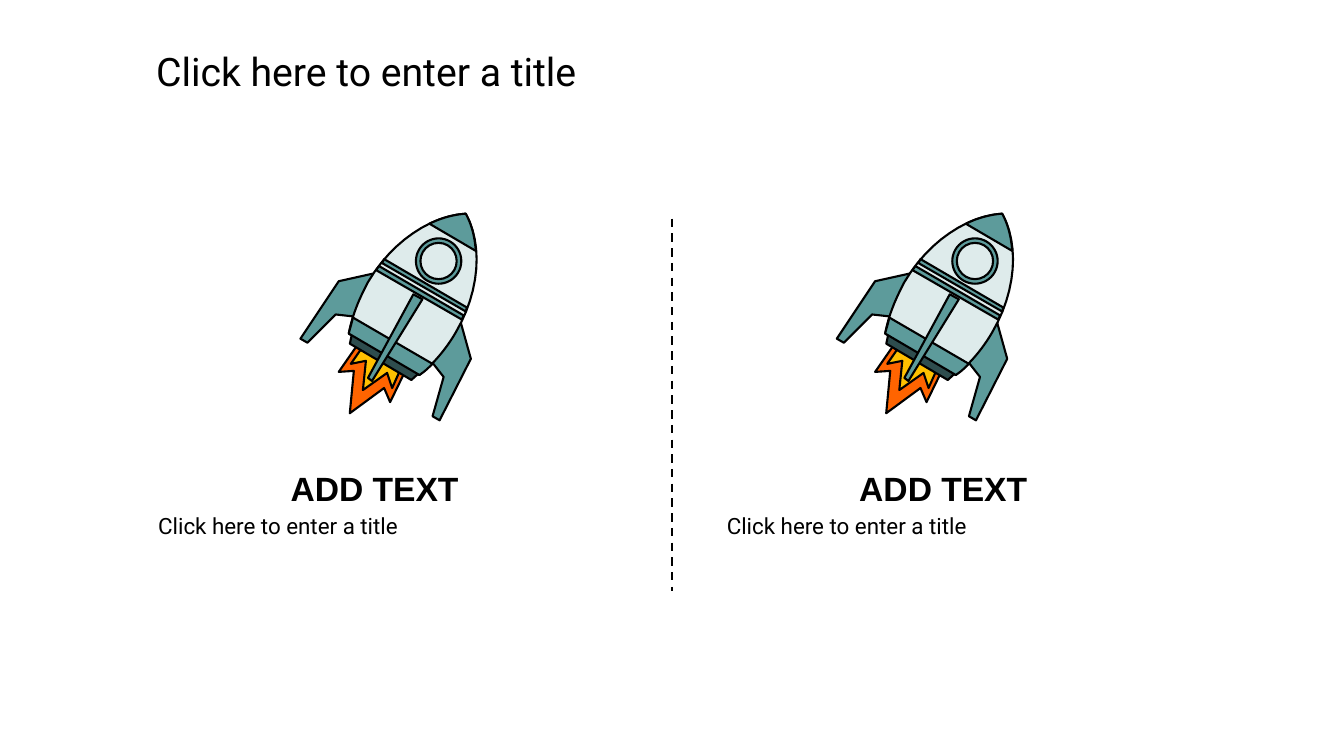
from pptx import Presentation
from pptx.dml.color import RGBColor
from pptx.enum.dml import MSO_LINE
from pptx.enum.shapes import MSO_CONNECTOR as Wire, MSO_SHAPE as Form
from pptx.enum.text import MSO_AUTO_SIZE as Fit, PP_ALIGN as Align
from pptx.oxml.ns import qn
from pptx.util import Inches, Pt
from lxml.etree import SubElement

WIDE, HIGH = 13.33, 7.5
INK, TEAL, PALE, DARK = "000000", "5D9B9B", "DEEBEB", "2E4D4E"
FIRE, GOLD = "FF6400", "FFC000"
PROMPT = "Click here to enter a title"
CARDS = [("ADD TEXT", PROMPT), ("ADD TEXT", PROMPT)]
ROCKET_STEP, CARD_STEP = 5.32, 5.64

FLAME = [(3.61, 3.33), (3.36, 3.69), (3.51, 3.68), (3.47, 4.1),
         (3.81, 3.85), (3.87, 3.99), (4.06, 3.6)]
SPARK = [(4.01, 3.57), (3.65, 3.36), (3.64, 3.38), (3.48, 3.61),
         (3.63, 3.58), (3.6, 3.87), (3.84, 3.7), (3.89, 3.85), (4.01, 3.58)]
LEFT_FIN = [(3.72, 2.71), (3.36, 2.79), (2.98, 3.36), (3.05, 3.4),
            (3.33, 3.12), (3.51, 3.14)]
RIGHT_FIN = [(4.57, 3.2), (4.67, 3.56), (4.36, 4.17), (4.29, 4.13),
             (4.4, 3.74), (4.29, 3.6)]
HULL = [(4.16, 3.72), (4.3, 3.61, 4.42, 3.47, 4.52, 3.3),
        (4.76, 2.89, 4.79, 2.43, 4.62, 2.12),
        (4.28, 2.14, 3.89, 2.39, 3.65, 2.8),
        (3.56, 2.97, 3.49, 3.14, 3.46, 3.31)]
NOSE = [(4.72, 2.49), (4.71, 2.35, 4.68, 2.23, 4.62, 2.12),
        (4.5, 2.13, 4.38, 2.16, 4.26, 2.22)]
TOP_BAND = [(3.81, 2.57), (3.79, 2.61), (4.62, 3.09), (4.63, 3.05)]
LOW_BAND = [(4.58, 3.17), (4.6, 3.13), (3.76, 2.64), (3.73, 2.68)]
NOZZLE = [(4.08, 3.77), (4.19, 3.67), (3.5, 3.27), (3.47, 3.41)]
BASE = [(4.16, 3.72), (4.21, 3.69, 4.25, 3.65, 4.29, 3.61), (3.5, 3.15),
        (3.49, 3.21, 3.47, 3.26, 3.46, 3.31)]
MID_FIN = [(3.69, 3.78), (3.65, 3.75), (4.1, 2.92), (4.19, 2.97)]
PARTS = [(FLAME, FIRE), (SPARK, GOLD), (LEFT_FIN, TEAL), (RIGHT_FIN, TEAL),
         (HULL, PALE), (NOSE, TEAL), (TOP_BAND, TEAL), (LOW_BAND, TEAL),
         (NOZZLE, DARK), (BASE, TEAL), (MID_FIN, TEAL)]
PANE = (4.35, 2.59)
RINGS = [(0.45, TEAL), (0.36, PALE)]


def tint(code):
    return RGBColor.from_string(code)


def trace(nodes, steps=12):
    points = [nodes[0]]
    for node in nodes[1:]:
        if len(node) == 2:
            points.append(node)
            continue
        ends = [points[-1], node[:2], node[2:4], node[4:]]
        for i in range(1, steps + 1):
            t = i / steps
            mix = ((1 - t) ** 3, 3 * t * (1 - t) ** 2,
                   3 * t * t * (1 - t), t ** 3)
            points.append(tuple(sum(m * e[k] for m, e in zip(mix, ends))
                                for k in (0, 1)))
    return points


def paint(shape, fill):
    shape.shadow.inherit = False
    shape.fill.solid()
    shape.fill.fore_color.rgb = tint(fill)
    shape.line.color.rgb = tint(INK)
    shape.line.width = Pt(1.5)


def draw_rocket(slide, shift):
    shapes = slide.shapes.add_group_shape().shapes
    for nodes, fill in PARTS:
        spots = [(Inches(x + shift), Inches(y)) for x, y in trace(nodes)]
        pen = shapes.build_freeform(*spots[0])
        pen.add_line_segments(spots[1:], close=True)
        paint(pen.convert_to_shape(), fill)
    for size, fill in RINGS:
        left, top = PANE[0] + shift - size / 2, PANE[1] - size / 2
        ring = shapes.add_shape(Form.OVAL, Inches(left), Inches(top),
                                Inches(size), Inches(size))
        paint(ring, fill)


def write(shapes, at, text, size, font, bold=False, wrap=True,
          align=Align.LEFT, space=1.0):
    box = shapes.add_textbox(*map(Inches, at))
    frame = box.text_frame
    frame.word_wrap = wrap
    frame.auto_size = Fit.SHAPE_TO_FIT_TEXT
    para = frame.paragraphs[0]
    para.alignment, para.line_spacing = align, space
    run = para.add_run()
    run.text = text
    run.font.name, run.font.size, run.font.bold = font, Pt(size), bold
    run.font.color.rgb = tint(INK)


def draw_card(slide, shift, head, body):
    shapes = slide.shapes.add_group_shape().shapes
    write(shapes, (1.47 + shift, 5.03, 4.49, 0.37), body, 16, "Roboto")
    write(shapes, (2.49 + shift, 4.51, 2.45, 0.54), head, 24, "Arial",
          bold=True, align=Align.CENTER, space=1.2)


def draw_rule(slide):
    mid = Inches(WIDE / 2)
    rule = slide.shapes.add_connector(Wire.STRAIGHT, mid, Inches(2.17),
                                      mid, Inches(5.86))
    rule.line.color.rgb = tint(INK)
    rule.line.width = Pt(1.5)
    rule.line.dash_style = MSO_LINE.DASH
    SubElement(rule.element.spPr, qn("a:effectLst"))


def main():
    """Build a two-column slide with a rocket above each caption."""
    deck = Presentation()
    deck.slide_width, deck.slide_height = Inches(WIDE), Inches(HIGH)
    slide = deck.slides.add_slide(deck.slide_layouts[6])
    for i in range(len(CARDS)):
        draw_rocket(slide, i * ROCKET_STEP)
    write(slide.shapes, (1.45, 0.42, 4.49, 0.57), PROMPT, 28, "Roboto",
          wrap=False)
    for i, (head, body) in enumerate(CARDS):
        draw_card(slide, i * CARD_STEP, head, body)
    draw_rule(slide)
    deck.save("out.pptx")


if __name__ == "__main__":
    main()
